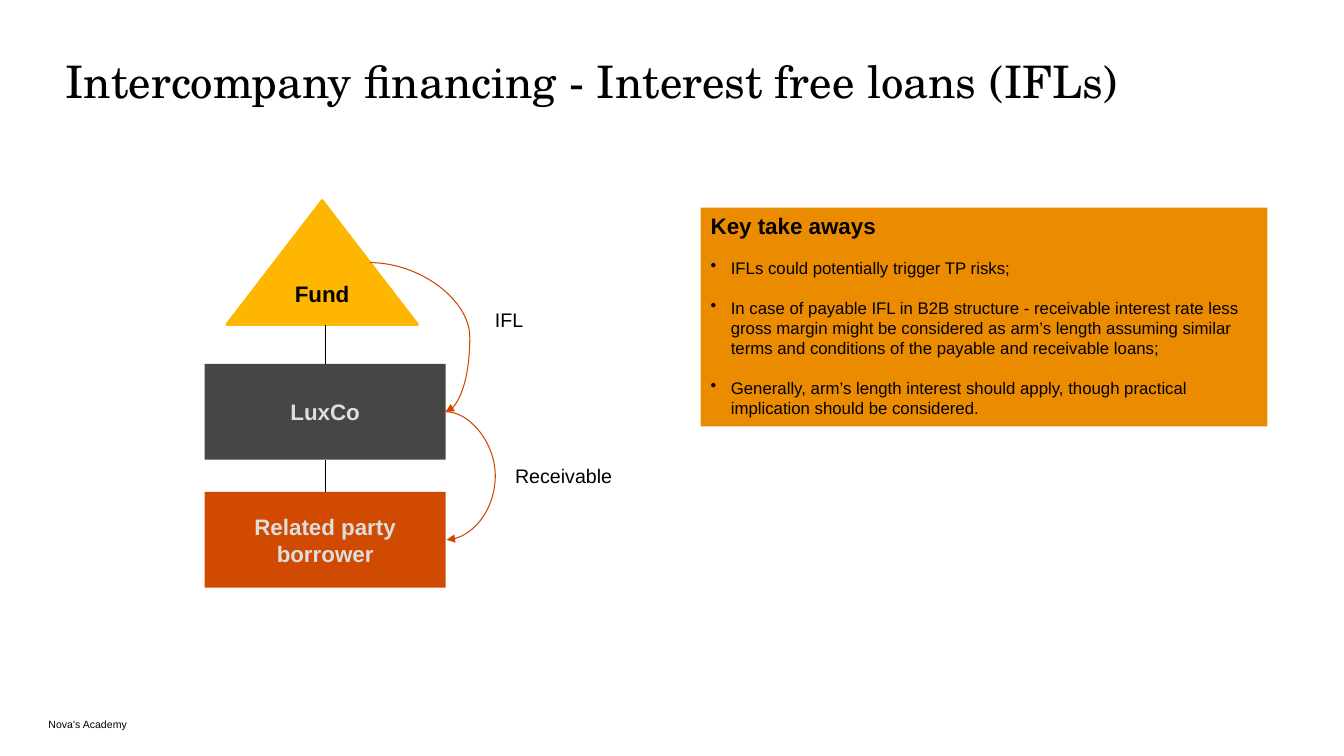
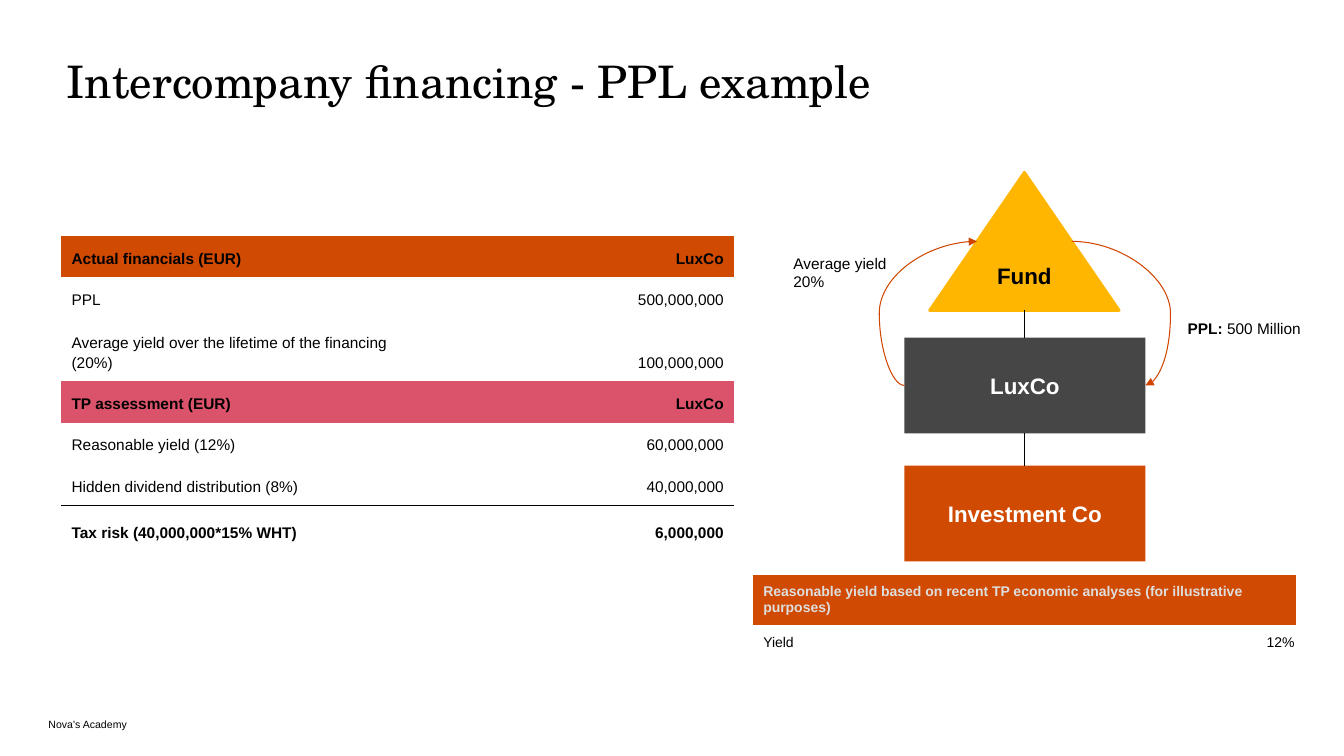
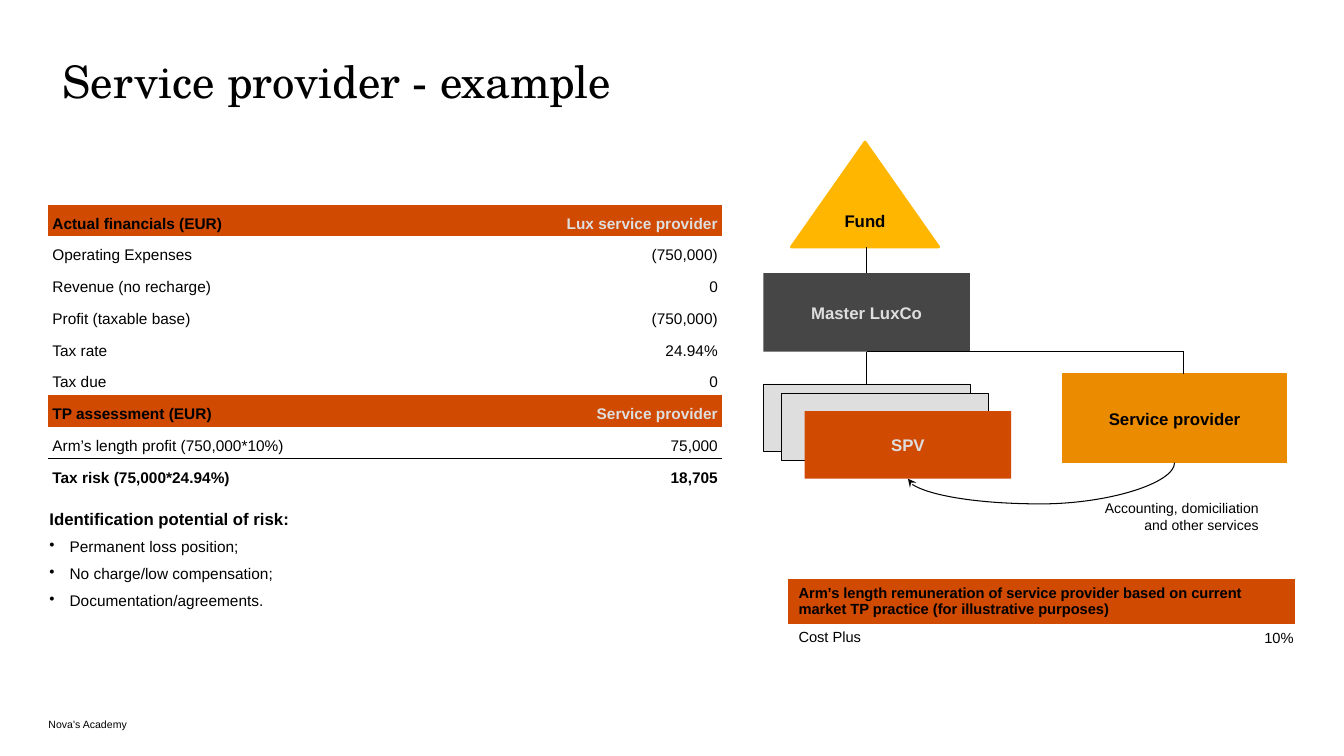
from lxml.etree import SubElement
from pptx import Presentation
from pptx.dml.color import RGBColor
from pptx.enum.shapes import MSO_CONNECTOR, MSO_SHAPE
from pptx.enum.text import MSO_ANCHOR, PP_ALIGN
from pptx.oxml.ns import qn
from pptx.util import Inches, Pt

# Shared look
COLORS = {"black": "000000", "white": "FFFFFF", "pale": "DEDEDE", "dark": "464646",
          "rust": "D04A02", "arrow": "D04600", "amber": "EB8C00", "yellow": "FFB600",
          "rose": "DB536A"}
BODY, HEADING = "Arial", "TeX Gyre Schola"
FOOTER = "Nova's Academy"
L, C, R = PP_ALIGN.LEFT, PP_ALIGN.CENTER, PP_ALIGN.RIGHT
TOP, MID, LOW = MSO_ANCHOR.TOP, MSO_ANCHOR.MIDDLE, MSO_ANCHOR.BOTTOM
PAD = (0.1, 0.05, 0.1, 0.05)
NO_PAD = (0, 0, 0, 0)
NO_STYLE = "{2D5ABB26-0587-4C30-8999-92F81FD0307C}"
BOX_W, BOX_H = 2.39, 0.95

# Content
TAKEAWAYS = [
    "IFLs could potentially trigger TP risks;",
    "In case of payable IFL in B2B structure - receivable interest rate less gross margin "
    "might be considered as arm’s length assuming similar terms and conditions of the "
    "payable and receivable loans;",
    "Generally, arm’s length interest should apply, though practical implication should be "
    "considered.",
]
RISKS = ["Permanent loss position;", "No charge/low compensation;", "Documentation/agreements."]

# Table rows: label, value, kind ("" plain, "total", or the fill of a heading)
PPL_ROWS = [
    ("Actual financials (EUR)", "LuxCo", "rust"),
    ("PPL", "500,000,000", ""),
    ("Average yield over the lifetime of the financing (20%)", "100,000,000", ""),
    ("TP assessment (EUR)", "LuxCo", "rose"),
    ("Reasonable yield (12%)", "60,000,000", ""),
    ("Hidden dividend distribution (8%)", "40,000,000", ""),
    ("Tax risk (40,000,000*15% WHT)", "6,000,000", "total"),
]
SERVICE_ROWS = [
    ("Actual financials (EUR)", "Lux service provider", "rust"),
    ("Operating Expenses", "(750,000)", ""),
    ("Revenue (no recharge)", "0", ""),
    ("Profit (taxable base)", "(750,000)", ""),
    ("Tax rate", "24.94%", ""),
    ("Tax due", "0", ""),
    ("TP assessment (EUR)", "Service provider", "rust"),
    ("Arm’s length profit (750,000*10%)", "75,000", ""),
    ("Tax risk (75,000*24.94%)", "18,705", "total"),
]


def rgb(name):
    return RGBColor.from_string(COLORS[name])


def bullet(p):
    pPr = p._p.get_or_add_pPr()
    pPr.set("marL", str(Inches(0.2)))
    pPr.set("indent", str(Inches(-0.2)))
    clr = SubElement(pPr, qn("a:buClr"))
    SubElement(clr, qn("a:srgbClr"), val=COLORS["black"])
    SubElement(pPr, qn("a:buChar"), char="•")


def add_run(p, text, size, color="black", bold=False, font=BODY):
    r = p.add_run()
    r.text = text
    r.font.size, r.font.bold, r.font.name = Pt(size), bold, font
    r.font.color.rgb = rgb(color)


def frame(tf, pad=PAD, anchor=TOP):
    tf.word_wrap = True
    tf.vertical_anchor = anchor
    tf.margin_left, tf.margin_top, tf.margin_right, tf.margin_bottom = map(Inches, pad)
    return tf


def text_box(s, x, y, w, h, text="", size=11, align=L, pad=PAD, anchor=TOP, font=BODY):
    box = s.shapes.add_textbox(Inches(x), Inches(y), Inches(w), Inches(h))
    p = frame(box.text_frame, pad, anchor).paragraphs[0]
    p.alignment = align
    if text:
        add_run(p, text, size, font=font)
    return box.text_frame


def bullets(tf, items, size, gaps):
    for item, gap in zip(items, gaps):
        p = tf.add_paragraph()
        bullet(p)
        p.alignment = L
        p.space_before = Pt(gap)
        add_run(p, item, size)


def shape(s, kind, x, y, w, h, fill, text="", size=16, color="black", line=None, pad=(0.05,) * 4):
    sp = s.shapes.add_shape(kind, Inches(x), Inches(y), Inches(w), Inches(h))
    sp.shadow.inherit = False
    sp.fill.solid()
    sp.fill.fore_color.rgb = rgb(fill)
    if line:
        sp.line.color.rgb, sp.line.width = rgb(line[0]), Pt(line[1])
    else:
        sp.line.fill.background()
    p = frame(sp.text_frame, pad, MID).paragraphs[0]
    p.alignment = C
    if text:
        add_run(p, text, size, color, True)
    return sp


def rect(s, *args, **kw):
    return shape(s, MSO_SHAPE.RECTANGLE, *args, **kw)


def fund(s, x, y, w, h, size=16):
    return shape(s, MSO_SHAPE.ISOSCELES_TRIANGLE, x, y, w, h, "yellow", "Fund", size,
                 line=("yellow", 2), pad=PAD)


def spot(sp, fx, fy):
    """Point at a share of a shape's width and height, in inches."""
    return (sp.left + fx * sp.width) / 914400, (sp.top + fy * sp.height) / 914400


def connect(s, kind, start, end, color="black"):
    c = s.shapes.add_connector(kind, *map(Inches, start + end))
    c.line.color.rgb, c.line.width = rgb(color), Pt(0.75)
    SubElement(c._element.spPr, qn("a:effectLst"))
    return c


def line(s, start, end):
    return connect(s, MSO_CONNECTOR.STRAIGHT, start, end)


def chain(s, top, *boxes):
    """Ownership lines from the fund down through the boxes."""
    x, y = spot(boxes[0], 0.5, 0)
    line(s, (x, spot(top, 0, 1)[1]), (x, y)).end_connect(boxes[0], 0)
    for upper, lower in zip(boxes, boxes[1:]):
        c = line(s, spot(upper, 0.5, 1), spot(lower, 0.5, 0))
        c.begin_connect(upper, 2)
        c.end_connect(lower, 0)


def curve(s, start, end, bulge, color="arrow", arrow=("tailEnd", "triangle"), upright=False):
    """Curved arrow reaching out to x = bulge, or down to y = bulge when upright."""
    (x0, y0), (x1, y1) = start, end
    axis = 1 if upright else 0
    if abs(end[axis] - start[axis]) < 0.001:
        x1 += 0.01
    span = y1 - y0 if upright else x1 - x0
    if upright:
        cx, cy = (x0 + x1) / 2, (y0 + y1) / 2
        (x0, y0), (x1, y1) = [(cx + y - cy, cy - x + cx) for x, y in (start, end)]
    c = connect(s, MSO_CONNECTOR.CURVE, (x0, y0), (x1, y1), color)
    if upright:
        c.rotation = 90
    av = c._element.spPr.find(qn("a:prstGeom")).find(qn("a:avLst"))
    share = round((bulge - start[axis]) / span * 100000)
    SubElement(av, qn("a:gd"), name="adj1", fmla=f"val {share}")
    SubElement(c.line._get_or_add_ln(), qn("a:" + arrow[0]), type=arrow[1])


def new_table(s, x, y, cols, rows):
    tbl = s.shapes.add_table(len(rows), len(cols), Inches(x), Inches(y),
                             Inches(sum(cols)), Inches(sum(rows))).table
    tbl.first_row = tbl.horz_banding = False
    tbl._tbl.tblPr.find(qn("a:tableStyleId")).text = NO_STYLE
    for col, w in zip(tbl.columns, cols):
        col.width = Inches(w)
    for row, h in zip(tbl.rows, rows):
        row.height = Inches(h)
    return tbl


def fill_cell(cell, text, size, align=L, color="black", bold=False, fill=None, pad=PAD,
              anchor=MID, spacing=None, rule=False):
    cell.vertical_anchor = anchor
    cell.margin_left, cell.margin_top, cell.margin_right, cell.margin_bottom = map(Inches, pad)
    if rule:
        ln = SubElement(cell._tc.get_or_add_tcPr(), qn("a:lnB"), w=str(Pt(1)))
        SubElement(SubElement(ln, qn("a:solidFill")), qn("a:srgbClr"), val=COLORS["black"])
    if fill:
        cell.fill.solid()
        cell.fill.fore_color.rgb = rgb(fill)
    else:
        cell.fill.background()
    p = cell.text_frame.paragraphs[0]
    p.alignment = align
    if spacing:
        p.line_spacing = spacing
    add_run(p, text, size, color, bold)


def finance_table(s, x, y, cols, heights, rows, pad, value_head="black"):
    tbl = new_table(s, x, y, cols, heights)
    for i, (label, value, kind) in enumerate(rows):
        fill = kind if kind in COLORS else None
        rule = i + 1 < len(rows) and rows[i + 1][2] == "total"
        for j, (text, align) in enumerate(((label, L), (value, R))):
            fill_cell(tbl.cell(i, j), text, 11, align, value_head if fill and j else "black",
                      bool(kind), fill, (pad,) * 4, LOW, 1.15, rule)


def benchmark_table(s, x, y, cols, heights, head, label, value, size, color):
    tbl = new_table(s, x, y, cols, heights)
    tbl.cell(0, 0).merge(tbl.cell(0, 1))
    fill_cell(tbl.cell(0, 0), head, size, color=color, bold=True, fill="rust")
    fill_cell(tbl.cell(1, 0), label, size)
    fill_cell(tbl.cell(1, 1), value, size, R, pad=(0.01, 0.01, 0.01, 0))


def new_slide(prs, title, x):
    s = prs.slides.add_slide(prs.slide_layouts[6])
    text_box(s, 0.48, 7.1, 5.99, 0.15, FOOTER, 7.5, pad=NO_PAD, anchor=LOW)
    tf = text_box(s, x, 0.61, 12.36, 0.55, title, 32, pad=NO_PAD, font=HEADING)
    tf.paragraphs[0].line_spacing = 0.85
    return s


def loans_slide(prs):
    s = new_slide(prs, "Intercompany financing - Interest free loans (IFLs)", 0.65)
    # Key take aways
    tf = frame(rect(s, 6.95, 2.06, 5.62, 2.17, "amber").text_frame)
    tf.paragraphs[0].alignment = L
    add_run(tf.paragraphs[0], "Key take aways", 16, bold=True)
    bullets(tf, TAKEAWAYS, 12, (13, 14, 14))
    # Structure
    luxco = rect(s, 2.03, 3.61, BOX_W, BOX_H, "dark", "LuxCo", color="pale")
    borrower = rect(s, 2.03, 4.88, BOX_W, BOX_H, "rust", "Related party borrower", color="pale")
    top = fund(s, 2.25, 1.99, 1.89, 1.23)
    chain(s, top, luxco, borrower)
    # Loans
    curve(s, spot(luxco, 1, 0.5), spot(borrower, 1, 0.5), 4.92)
    curve(s, spot(top, 0.75, 0.5), spot(luxco, 1, 0.5), 4.66)
    text_box(s, 5.01, 4.55, 1.58, 0.34, "Receivable", 14)
    text_box(s, 4.81, 3.01, 1.58, 0.34, "IFL", 14)


def ppl_slide(prs):
    s = new_slide(prs, "Intercompany financing - PPL example", 0.66)
    # Tables
    finance_table(s, 0.61, 2.34, (3.67, 3), (0.39, 0.39, 0.59, 0.39, 0.39, 0.39, 0.46),
                  PPL_ROWS, 0.1)
    benchmark_table(s, 7.47, 5.7, (2.74, 2.64), (0.5, 0.35),
                    "Reasonable yield based on recent TP economic analyses "
                    "(for illustrative purposes)", "Yield", "12%", 10, "pale")
    # Structure
    luxco = rect(s, 8.97, 3.35, BOX_W, BOX_H, "dark", "LuxCo", color="white")
    invest = rect(s, 8.97, 4.62, BOX_W, BOX_H, "rust", "Investment Co", color="white")
    top = fund(s, 9.22, 1.71, 1.88, 1.37)
    chain(s, top, luxco, invest)
    # Loan and yield
    curve(s, spot(top, 0.75, 0.5), spot(luxco, 1, 0.5), 11.61)
    curve(s, spot(luxco, 0, 0.5), spot(top, 0.25, 0.5), 8.72)
    p = text_box(s, 11.68, 3.12, 1.35, 0.47).paragraphs[0]
    add_run(p, "PPL: ", 11, bold=True)
    add_run(p, "500 Million", 11)
    text_box(s, 7.77, 2.47, 1.25, 0.47, "Average yield 20%")


def service_slide(prs):
    s = new_slide(prs, "Service provider - example", 0.62)
    # Tables
    finance_table(s, 0.48, 2.03, (3.67, 3.01), (0.315,) * len(SERVICE_ROWS),
                  SERVICE_ROWS, 0.04, "pale")
    benchmark_table(s, 7.82, 5.74, (2.55, 2.47), (0.43, 0.27),
                    "Arm’s length remuneration of service provider based on current market "
                    "TP practice (for illustrative purposes)", "Cost Plus", "10%", 10.5, "black")
    # Risks
    tf = text_box(s, 0.49, 5.05, 6.68, 1.33, pad=NO_PAD)
    add_run(tf.paragraphs[0], "Identification potential of risk:", 12, bold=True)
    bullets(tf, RISKS, 11, (6,) * len(RISKS))
    # Structure
    provider = rect(s, 10.54, 3.71, 2.22, 0.88, "amber", "Service provider", 12,
                    line=("amber", 1))
    card, _ = [rect(s, x, y, 2.05, 0.67, "pale", line=("black", 0.5))
               for x, y in ((7.57, 3.81), (7.75, 3.9))]
    spv = rect(s, 7.98, 4.08, 2.05, 0.67, "rust", "SPV", 12, "pale")
    master = rect(s, 7.57, 2.71, 2.05, 0.78, "dark", "Master LuxCo", 12, "pale")
    chain(s, fund(s, 7.85, 1.41, 1.46, 1.04, 12), master, card)
    corner = (11.74, 3.49)
    line(s, spot(master, 0.5, 1), corner).begin_connect(master, 2)
    line(s, corner, (corner[0], 3.71))
    # Services
    curve(s, spot(spv, 0.5, 1), spot(provider, 0.5, 1), 5, "black", ("headEnd", "stealth"), True)
    text_box(s, 10.81, 4.91, 1.77, 0.61, "Accounting, domiciliation and other services", 10, R)


def main():
    prs = Presentation()
    prs.slide_width, prs.slide_height = Inches(13.33), Inches(7.5)
    for build in (loans_slide, ppl_slide, service_slide):
        build(prs)
    prs.save("out.pptx")


if __name__ == "__main__":
    main()
